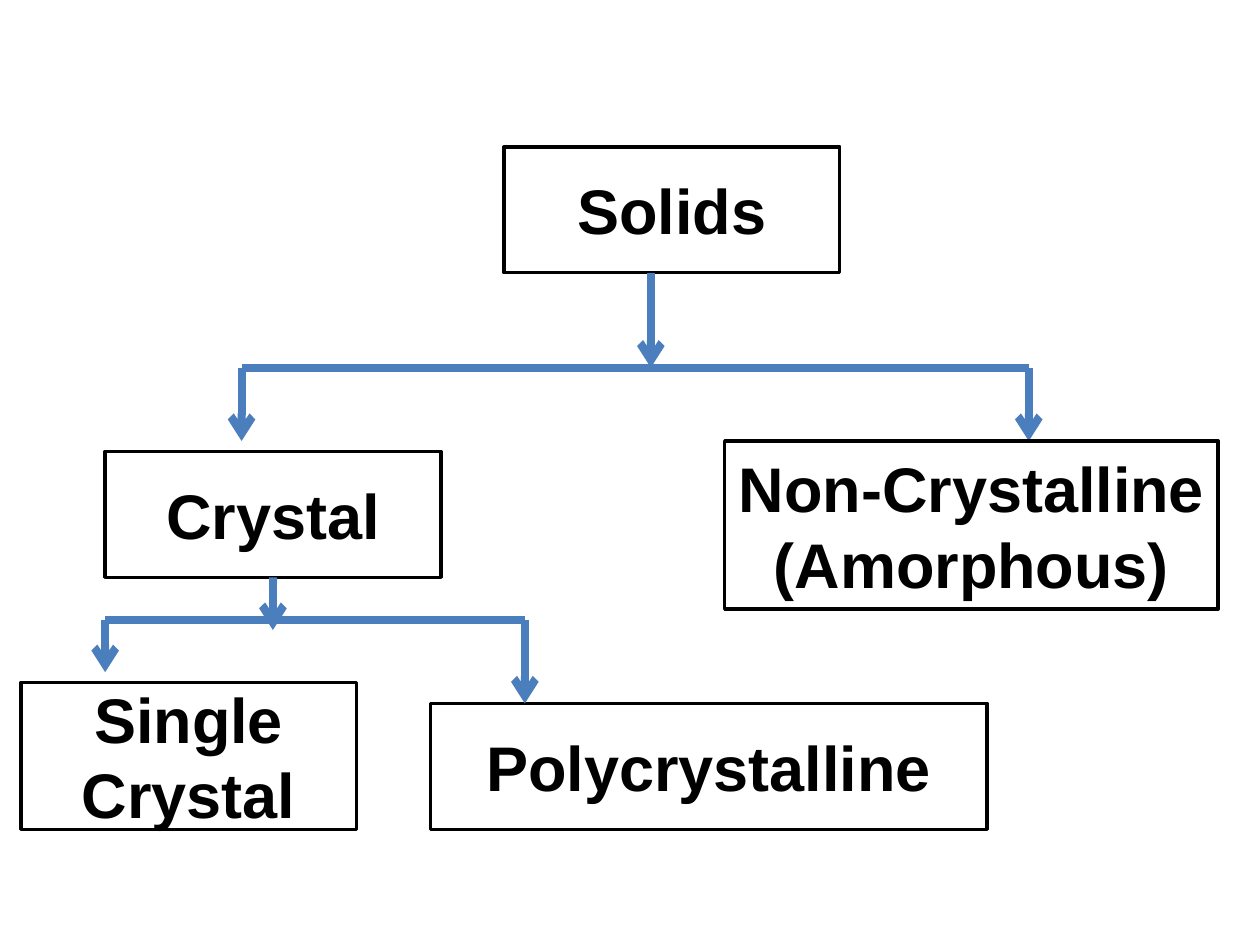
import pptx
import pptx.util
import pptx.dml.color
import pptx.enum.shapes
import pptx.enum.text
import pptx.oxml.ns
import lxml.etree

Cm = pptx.util.Cm
BLACK = pptx.dml.color.RGBColor(0x00, 0x00, 0x00)
WHITE = pptx.dml.color.RGBColor(0xFF, 0xFF, 0xFF)
BLUE = pptx.dml.color.RGBColor(0x4B, 0x7E, 0xBC)


class Chart:
    """Draws the boxes and lines of a tree on one slide."""
    font = "Arial"
    size = pptx.util.Pt(36)
    edge = pptx.util.Pt(2)
    stroke = pptx.util.Pt(4.5)

    def __init__(self, slide):
        self.slide = slide

    def box(self, text, left, top, width, height):
        shape = self.slide.shapes.add_shape(
            pptx.enum.shapes.MSO_SHAPE.RECTANGLE,
            Cm(left), Cm(top), Cm(width), Cm(height))
        shape.shadow.inherit = False
        shape.fill.solid()
        shape.fill.fore_color.rgb = WHITE
        shape.line.color.rgb = BLACK
        shape.line.width = self.edge
        frame = shape.text_frame
        frame.word_wrap = True
        frame.vertical_anchor = pptx.enum.text.MSO_ANCHOR.MIDDLE
        frame.text = text
        for para in frame.paragraphs:
            para.alignment = pptx.enum.text.PP_ALIGN.CENTER
            for run in para.runs:
                run.font.name = self.font
                run.font.size = self.size
                run.font.bold = True
                run.font.color.rgb = BLACK
        return shape

    def line(self, x1, y1, x2, y2, arrow=False):
        link = self.slide.shapes.add_connector(
            pptx.enum.shapes.MSO_CONNECTOR.STRAIGHT,
            Cm(x1), Cm(y1), Cm(x2), Cm(y2))
        link.line.color.rgb = BLUE
        link.line.width = self.stroke
        qn = pptx.oxml.ns.qn
        props = link.element.spPr
        if arrow:
            tail = lxml.etree.SubElement(props.find(qn("a:ln")), qn("a:tailEnd"))
            tail.set("type", "arrow")
        lxml.etree.SubElement(props, qn("a:effectLst"))
        return link

    def fork(self, stem, top, bar, tip, ends):
        """A stem down to a bar, with an arrow down at each end of the bar."""
        (left, _), (right, _) = ends
        self.line(left, bar, right, bar)
        for x, low in ends:
            self.line(x, bar, x, low, arrow=True)
        return self.line(stem, top, stem, tip, arrow=True)


def main():
    deck = pptx.Presentation()
    deck.slide_width, deck.slide_height = Cm(25.4), Cm(19.05)
    chart = Chart(deck.slides.add_slide(deck.slide_layouts[6]))

    # Solids and its two kinds
    chart.box("Solids", 10.16, 2.96, 6.77, 2.54)
    chart.fork(13.12, 5.5, 7.41, 7.41, [(4.87, 8.89), (20.74, 8.89)])
    crystal = chart.box("Crystal", 2.12, 9.1, 6.77, 2.54)
    chart.box("Non-Crystalline\n(Amorphous)", 14.61, 8.89, 9.95, 3.39)

    # Crystal and its two kinds
    chart.box("Polycrystalline", 8.68, 14.18, 11.22, 2.54)
    chart.box("Single Crystal", 0.42, 13.76, 6.77, 2.96)
    stem = chart.fork(5.5, 11.64, 12.49, 12.7, [(2.12, 13.55), (10.58, 14.18)])
    stem.begin_connect(crystal, 2)

    deck.save("out.pptx")


if __name__ == "__main__":
    main()
